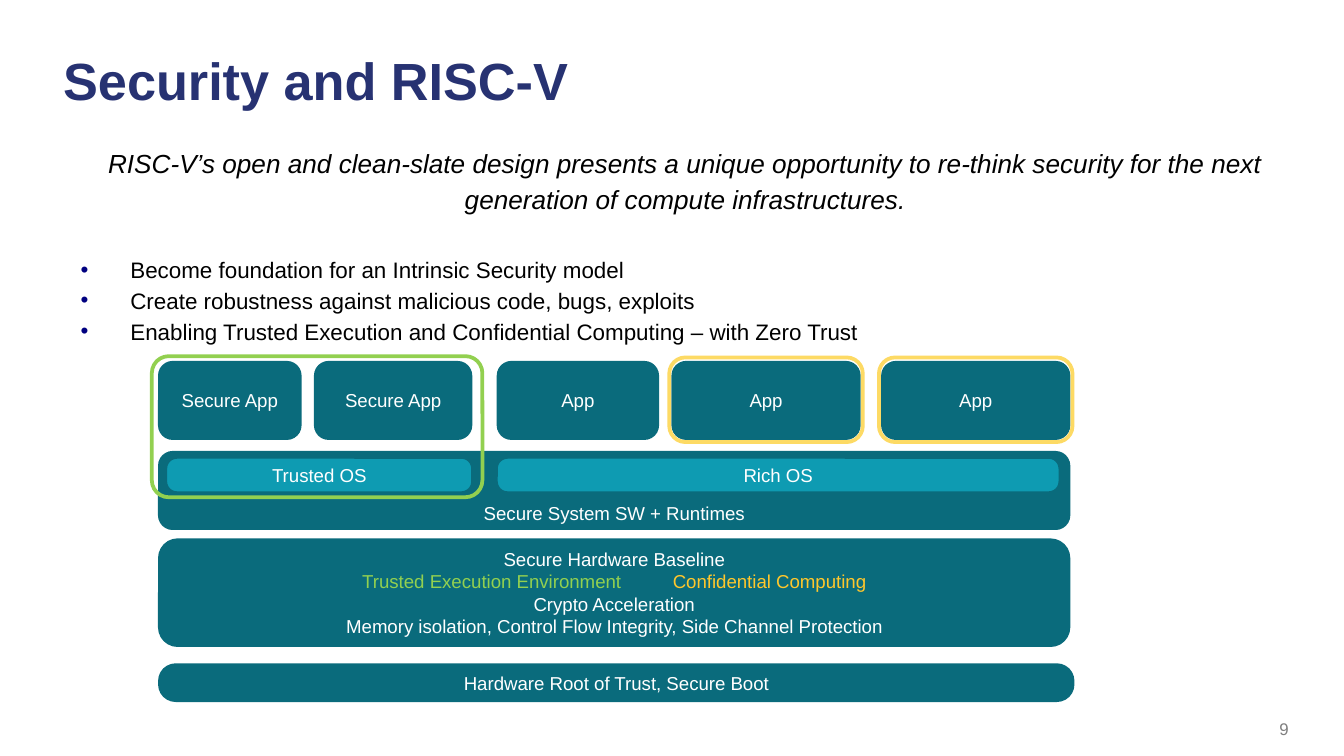
"""Build the slide on security and RISC-V with its layered trust diagram."""
from lxml.etree import SubElement
from pptx import Presentation
from pptx.dml.color import RGBColor
from pptx.enum.shapes import MSO_SHAPE as Preset
from pptx.enum.text import MSO_ANCHOR as Anchor, MSO_AUTO_SIZE as AutoSize, PP_ALIGN as Align
from pptx.oxml.ns import qn
from pptx.util import Inches, Pt

TITLE = "Security and RISC-V"
QUOTE = ("RISC-V’s open and clean-slate design presents a unique opportunity to re-think "
         "security for the next generation of compute infrastructures.")
BULLETS = [
    "Become foundation for an Intrinsic Security model",
    "Create robustness against malicious code, bugs, exploits",
    "Enabling Trusted Execution and Confidential Computing – with Zero Trust",
]
PAGE = "9"

TEAL, CYAN, WHITE = "0A6B7C", "0E9BB2", "FFFFFF"
GREEN, YELLOW, GOLD = "92D050", "FDDA64", "FFC72C"
NAVY, BULLET_BLUE, BLACK, GRAY = "273272", "000080", "000000", "7F7F7F"

ROWS = {
    "apps": (2.7, 0.56),
    "software": (3.37, 0.56),
    "systems": (3.4, 0.27),
    "hardware": (4.02, 0.78),
    "root": (4.95, 0.26),
}
LEFT, WIDTH = 1.19, 6.76
BASELINE = [
    [("Secure Hardware Baseline", WHITE)],
    [("Trusted Execution Environment", GREEN), (" ", WHITE), ("Confidential Computing", GOLD)],
    [("Crypto Acceleration", WHITE)],
    [("Memory isolation, Control Flow Integrity, Side Channel Protection", WHITE)],
]
APPS = [("Secure App", LEFT, 1.04), ("Secure App", 2.35, 1.15), ("App", 3.71, 1.18),
        ("App", 5.01, 1.38), ("App", 6.57, 1.38)]
LAYERS = [("software", [[("Secure System SW + Runtimes", WHITE)]], WIDTH, 0.17),
          ("hardware", BASELINE, WIDTH, 0.17),
          ("root", [[("Hardware Root of Trust, Secure Boot", WHITE)]], 6.79, 0.45)]
SYSTEMS = [("Trusted OS", 1.23, 2.29), ("Rich OS", 3.69, 4.2)]
FRAMES = [(GREEN, 1.13, 2.65, 2.46, 1.05, 0.12)] + [
    (YELLOW, left - 0.03, 2.66, width + 0.06, 0.63, 0.19) for _, left, width in APPS[3:]]


def color(value):
    return RGBColor.from_string(value)


def style(font, size, value, bold=False, italic=False):
    font.name, font.size, font.bold, font.italic = "Arial", Pt(size), bold, italic
    font.color.rgb = color(value)


def set_frame(text_frame, anchor, horizontal=0.07, vertical=0.04):
    text_frame.word_wrap = True
    text_frame.auto_size = AutoSize.NONE
    text_frame.vertical_anchor = anchor
    text_frame.margin_left = text_frame.margin_right = Inches(horizontal)
    text_frame.margin_top = text_frame.margin_bottom = Inches(vertical)


def place(shape, *bounds):
    shape.left, shape.top, shape.width, shape.height = map(Inches, bounds)


def rounded(shapes, bounds, corner, fill, line):
    shape = shapes.add_shape(Preset.ROUNDED_RECTANGLE, *map(Inches, bounds))
    shape.adjustments[0] = corner
    shape.shadow.inherit = False
    if fill:
        shape.fill.solid()
        shape.fill.fore_color.rgb = color(fill)
    else:
        shape.fill.background()
    shape.line.color.rgb = color(line)
    shape.line.width = Pt(2)
    return shape


def block(shapes, row, left, width, lines, corner=0.17, fill=TEAL, anchor=Anchor.MIDDLE):
    top, height = ROWS[row]
    shape = rounded(shapes, (left, top, width, height), corner, fill, TEAL)
    text_frame = shape.text_frame
    set_frame(text_frame, anchor, 0, 0)
    text_frame.text = "\n".join("" for _ in lines)
    for paragraph, pieces in zip(text_frame.paragraphs, lines):
        paragraph.alignment = Align.CENTER
        for text, value in pieces:
            run = paragraph.add_run()
            run.text = text
            style(run.font, 10, value)
            if text == " ":
                run.font._element.set("spc", "2500")


def add_title(slide):
    title = slide.shapes.title
    place(title, 0.4, 0.24, 8.77, 0.75)
    set_frame(title.text_frame, Anchor.MIDDLE)
    title.text_frame.text = TITLE
    paragraph = title.text_frame.paragraphs[0]
    paragraph.alignment = Align.LEFT
    paragraph.line_spacing = 0.95
    style(paragraph.runs[0].font, 28, NAVY, bold=True)


def add_body(slide):
    body = slide.placeholders[1]
    place(body, 0.4, 1.02, 9.27, 4.11)
    set_frame(body.text_frame, Anchor.TOP)
    body.text_frame.text = "\n".join([QUOTE, *BULLETS])
    for index, paragraph in enumerate(body.text_frame.paragraphs):
        quote = index == 0
        paragraph.alignment = Align.CENTER if quote else Align.LEFT
        paragraph.line_spacing = 1.15
        paragraph.space_before = Pt(20 if index == 1 else 0)
        paragraph.space_after = Pt(0)
        properties = paragraph._p.get_or_add_pPr()
        properties.set("marL", str(Inches(0.13 if quote else 0.5)))
        properties.set("indent", str(Inches(0 if quote else -0.37)))
        if quote:
            SubElement(properties, qn("a:buNone"))
        else:
            bullet_color = SubElement(properties, qn("a:buClr"))
            SubElement(bullet_color, qn("a:srgbClr"), val=BULLET_BLUE)
            SubElement(properties, qn("a:buFont"), typeface="Arial")
            SubElement(properties, qn("a:buChar"), char="•")
        style(paragraph.runs[0].font, 14 if quote else 12, BLACK, italic=quote)


def add_diagram(slide):
    shapes = slide.shapes.add_group_shape().shapes
    for row, lines, width, corner in LAYERS:
        anchor = Anchor.BOTTOM if row == "software" else Anchor.MIDDLE
        block(shapes, row, LEFT, width, lines, corner, anchor=anchor)
    for label, left, width in APPS:
        block(shapes, "apps", left, width, [[(label, WHITE)]])
    for label, left, width in SYSTEMS:
        block(shapes, "systems", left, width, [[(label, WHITE)]], 0.32, CYAN)
    for line, *bounds, corner in FRAMES:
        rounded(shapes, bounds, corner, None, line)


def add_page_number(slide):
    box = slide.shapes.add_textbox(*map(Inches, (7.33, 5.29, 2.33, 0.25)))
    set_frame(box.text_frame, Anchor.BOTTOM)
    box.text_frame.text = PAGE
    paragraph = box.text_frame.paragraphs[0]
    paragraph.alignment = Align.RIGHT
    style(paragraph.runs[0].font, 9, GRAY)


def main():
    presentation = Presentation()
    presentation.slide_width = Inches(10)
    presentation.slide_height = presentation.slide_width * 9 // 16
    slide = presentation.slides.add_slide(presentation.slide_layouts[1])
    add_title(slide)
    add_body(slide)
    add_diagram(slide)
    add_page_number(slide)
    presentation.save("out.pptx")


if __name__ == "__main__":
    main()
